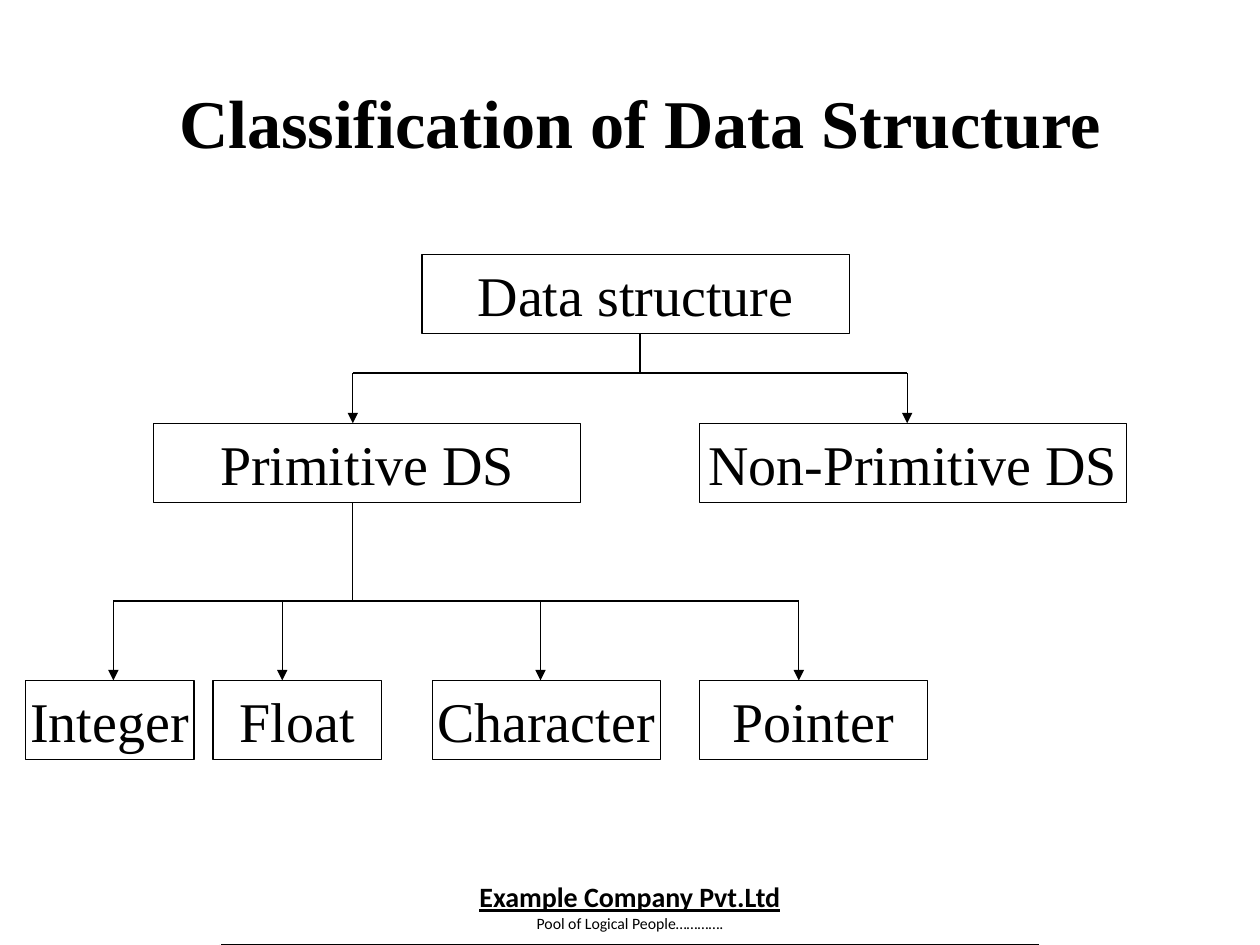
from lxml import etree
from pptx import Presentation
from pptx.dml.color import RGBColor
from pptx.enum.shapes import MSO_CONNECTOR, MSO_SHAPE
from pptx.enum.text import MSO_ANCHOR, PP_ALIGN
from pptx.oxml.ns import qn
from pptx.util import Inches, Pt

STRAIGHT = MSO_CONNECTOR.STRAIGHT
RECTANGLE = MSO_SHAPE.RECTANGLE
MIDDLE = MSO_ANCHOR.MIDDLE
CENTER = PP_ALIGN.CENTER
BLACK, WHITE = "000000", "FFFFFF"
SERIF, SANS = "Times New Roman", "Calibri"
LINE_WIDTH = 0.75
BOX_HEIGHT = 0.63
ROOT_TOP, KIND_TOP, TYPE_TOP = 2.02, 3.36, 5.4
KIND_BUS, TYPE_BUS = 2.96, 4.77
# Label, left, top, width
BOXES = [
    ("Data structure", 3.35, ROOT_TOP, 3.39),
    ("Primitive DS", 1.22, KIND_TOP, 3.39),
    ("Non-Primitive DS", 5.55, KIND_TOP, 3.39),
    ("Integer", 0.2, TYPE_TOP, 1.34),
    ("Float", 1.69, TYPE_TOP, 1.34),
    ("Character", 3.43, TYPE_TOP, 1.81),
    ("Pointer", 5.55, TYPE_TOP, 1.81),
]


def color(value):
    """Turn a hex string into a colour."""
    return RGBColor.from_string(value)


def write_text(paragraph, text, size, font=SERIF, bold=False, underline=False):
    """Write centred black text into a paragraph."""
    paragraph.alignment = CENTER
    run = paragraph.add_run()
    run.text = text
    run.font.name = font
    run.font.size = Pt(size)
    run.font.bold = bold
    run.font.underline = underline
    run.font.color.rgb = color(BLACK)


def add_title(slide, text):
    """Add the slide heading."""
    shape = slide.shapes.add_textbox(Inches(0.33), Inches(0.5), Inches(9.5), Inches(0.92))
    frame = shape.text_frame
    frame.word_wrap = True
    frame.vertical_anchor = MIDDLE
    write_text(frame.paragraphs[0], text, 39, bold=True)


def add_box(slide, label, left, top, width):
    """Add one labelled node of the tree."""
    shape = slide.shapes.add_shape(
        RECTANGLE, Inches(left), Inches(top), Inches(width), Inches(BOX_HEIGHT))
    shape.shadow.inherit = False
    shape.fill.solid()
    shape.fill.fore_color.rgb = color(WHITE)
    shape.line.color.rgb = color(BLACK)
    shape.line.width = Pt(LINE_WIDTH)
    shape.text_frame.word_wrap = False
    shape.text_frame.vertical_anchor = MIDDLE
    write_text(shape.text_frame.paragraphs[0], label, 32)


def add_line(slide, start, end, arrow=False):
    """Add a straight line, with an arrowhead at its end if asked."""
    points = [Inches(value) for value in (*start, *end)]
    connector = slide.shapes.add_connector(STRAIGHT, *points)
    connector.line.color.rgb = color(BLACK)
    connector.line.width = Pt(LINE_WIDTH)
    if arrow:
        outline = connector.line._get_or_add_ln()
        etree.SubElement(outline, qn("a:tailEnd"), type="triangle")
    etree.SubElement(connector._element.spPr, qn("a:effectLst"))


def add_branch(slide, stem_x, parent_top, bus_y, child_xs, child_top):
    """Join a parent to its children with a stem, a bus and arrows."""
    add_line(slide, (stem_x, parent_top + BOX_HEIGHT), (stem_x, bus_y))
    add_line(slide, (child_xs[0], bus_y), (child_xs[-1], bus_y))
    for child_x in child_xs:
        add_line(slide, (child_x, bus_y), (child_x, child_top), arrow=True)


def add_bottom_border(cell, width):
    """Draw a black line under a table cell."""
    border = etree.Element(qn("a:lnB"), w=str(Pt(width)))
    fill = etree.SubElement(border, qn("a:solidFill"))
    etree.SubElement(fill, qn("a:srgbClr"), val=BLACK)
    cell._tc.get_or_add_tcPr().insert(0, border)


def add_footer(slide, name, motto):
    """Add the footer table with a name and a motto."""
    frame = slide.shapes.add_table(
        1, 2, Inches(1.58), Inches(6.99), Inches(6.67), Inches(0.51))
    table = frame.table
    table.first_row = table.horz_banding = False
    for column, width in zip(table.columns, (0.17, 6.5)):
        column.width = Inches(width)
    for cell in table.rows[0].cells:
        cell.fill.background()
        cell.margin_left = cell.margin_right = Inches(0.06)
        cell.margin_top = cell.margin_bottom = 0
    text_cell = table.cell(0, 1)
    add_bottom_border(text_cell, 1)
    text_frame = text_cell.text_frame
    write_text(text_frame.paragraphs[0], name, 16, font=SANS, bold=True, underline=True)
    write_text(text_frame.add_paragraph(), motto, 9, font=SANS)


def main():
    """Build the slide and save it."""
    presentation = Presentation()
    presentation.slide_width = Inches(10)
    presentation.slide_height = Inches(7.5)
    slide = presentation.slides.add_slide(presentation.slide_layouts[6])
    add_footer(slide, "Example Company Pvt.Ltd", "Pool of Logical People………….")
    add_title(slide, "Classification of Data Structure")
    for box in BOXES:
        add_box(slide, *box)
    add_branch(slide, 5.08, ROOT_TOP, KIND_BUS, (2.8, 7.2), KIND_TOP)
    add_branch(slide, 2.8, KIND_TOP, TYPE_BUS, (0.9, 2.24, 4.29, 6.34), TYPE_TOP)
    presentation.save("out.pptx")


main()
